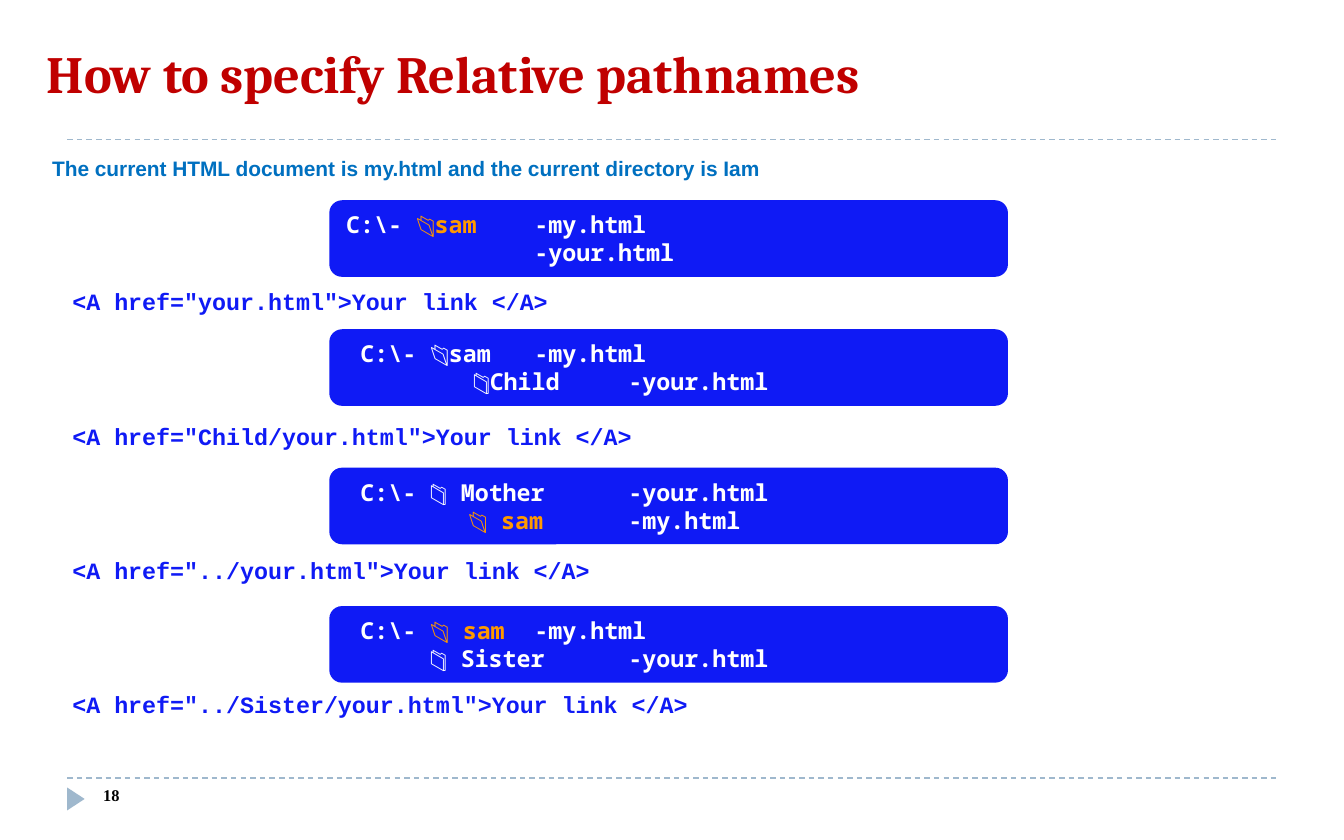
from pptx import Presentation
from pptx.dml.color import RGBColor
from pptx.enum.dml import MSO_LINE_DASH_STYLE as Dash
from pptx.enum.shapes import MSO_CONNECTOR as Connector, MSO_SHAPE as Shape
from pptx.enum.text import MSO_ANCHOR as Anchor, PP_ALIGN as Align
from pptx.oxml.ns import qn
from pptx.util import Inches, Pt
from lxml.etree import SubElement

COLORS = {"red": "C00000", "sky": "0070C0", "blue": "0F1AF5", "orange": "FF9900",
          "white": "FFFFFF", "black": "000000", "rule": "9FB8CD"}
FORMATS = {
    "title": {"name": "Cambria", "size": Pt(28), "bold": True},
    "intro": {"name": "Arial", "size": Pt(11.2), "bold": True},
    "code": {"name": "Courier New", "size": Pt(12.5), "bold": True},
    "tree": {"name": "Noto Sans Mono", "size": Pt(12.5), "bold": True},
    "number": {"name": "Times New Roman", "size": Pt(8.8), "bold": True},
}
OPEN, CLOSED = "\U0001F4C2", "\U0001F4C1"
NEAR, FAR = 5.6, 8.4


class Deck:
    """Style and current slide, measured on a grid of 40 columns by 25 rows."""

    def __init__(self, width=10, height=6.25):
        self.file = Presentation()
        self.file.slide_width, self.file.slide_height = Inches(width), Inches(height)
        self.cell = Inches(width) / 40
        self.shapes = self.file.slides.add_slide(self.file.slide_layouts[6]).shapes

    def units(self, *cells):
        """Turn grid cells into lengths."""
        return [round(count * self.cell) for count in cells]

    def color(self, name):
        """Look a colour up."""
        return RGBColor.from_string(COLORS[name])

    def add_words(self, paragraph, words, style, color):
        """Add one formatted run."""
        run = paragraph.add_run()
        run.text = words
        for key, value in FORMATS[style].items():
            setattr(run.font, key, value)
        run.font.color.rgb = self.color(color)

    def text(self, place, lines, anchor=Anchor.TOP, gap=0):
        """Add a text box with one paragraph per line."""
        frame = self.shapes.add_textbox(*self.units(*place)).text_frame
        frame.word_wrap, frame.vertical_anchor = True, anchor
        for index, (words, style, color, indent) in enumerate(lines):
            paragraph = frame.add_paragraph() if index else frame.paragraphs[0]
            paragraph.space_before = Pt(gap if index else 0)
            paragraph._p.get_or_add_pPr().set("marL", str(self.units(indent)[0]))
            self.add_words(paragraph, words, style, color)

    def shape(self, kind, place, color):
        """Add a flat filled shape."""
        shape = self.shapes.add_shape(kind, *self.units(*place))
        shape.shadow.inherit = False
        shape.fill.solid()
        shape.fill.fore_color.rgb = self.color(color)
        shape.line.fill.background()
        return shape

    def tree(self, place, branches):
        """Add a panel with a directory tree aligned on tab stops."""
        frame = self.shape(Shape.ROUNDED_RECTANGLE, place, "blue").text_frame
        frame.word_wrap, frame.vertical_anchor = True, Anchor.MIDDLE
        for index, (stops, runs) in enumerate(branches):
            paragraph = frame.add_paragraph() if index else frame.paragraphs[0]
            paragraph.alignment, paragraph.line_spacing = Align.LEFT, Pt(15)
            tabs = SubElement(paragraph._p.get_or_add_pPr(), qn("a:tabLst"))
            for stop in self.units(*stops):
                SubElement(tabs, qn("a:tab"), pos=str(stop), algn="l")
            for words, color in runs:
                self.add_words(paragraph, words, "tree", color)

    def rule(self, row):
        """Add a dashed line across the slide."""
        left, top, right = self.units(2, row, 38)
        line = self.shapes.add_connector(Connector.STRAIGHT, left, top, right, top)
        for key, value in {"width": Pt(0.75), "dash_style": Dash.DASH}.items():
            setattr(line.line, key, value)
        line.line.color.rgb = self.color("rule")
        SubElement(line._element.spPr, qn("a:effectLst"))


deck = Deck()
for rule_row in (23.16, 4.16):
    deck.rule(rule_row)
deck.shape(Shape.ISOSCELES_TRIANGLE, (1.92, 23.52, 0.68, 0.52), "rule").rotation = 90
deck.text((1, 0.56, 37, 3.2),
          [("How to specify Relative pathnames", "title", "red", 0)], Anchor.MIDDLE)
deck.text((2.68, 23.16, 8.68, 1.32), [("18", "number", "black", 0)])

targets = ("your.html", "Child/your.html", "../your.html", "../Sister/your.html")
intro = "The current HTML document is my.html and the current directory is Iam"
links = [(f'<A href="{target}">Your link </A>', "code", "blue", 0.76) for target in targets]
deck.text((1, 4.44, 38, 18.32), [(intro, "intro", "sky", 0.16), *links], gap=57)

trees = {
    5.96: [((NEAR,), [("C:\\- ", "white"), (OPEN + "sam", "orange"), ("\t-my.html", "white")]),
           ((NEAR,), [("\t-your.html", "white")])],
    9.8: [((0.42, NEAR), [(f"\tC:\\- {OPEN}sam\t-my.html", "white")]),
          ((3.78, FAR), [(f"\t{CLOSED}Child\t-your.html", "white")])],
    13.92: [((0.42, FAR), [(f"\tC:\\- {CLOSED} Mother\t-your.html", "white")]),
            ((3.64, FAR), [(f"\t{OPEN} sam", "orange"), ("\t-my.html", "white")])],
    18.04: [((0.42, NEAR), [("\tC:\\- ", "white"), (OPEN + " sam", "orange"),
                            ("\t-my.html", "white")]),
            ((2.5, FAR), [(f"\t{CLOSED} Sister\t-your.html", "white")])],
}
for tree_row, branches in trees.items():
    deck.tree((9.8, tree_row, 20.2, 2.28), branches)
deck.file.save("out.pptx")
